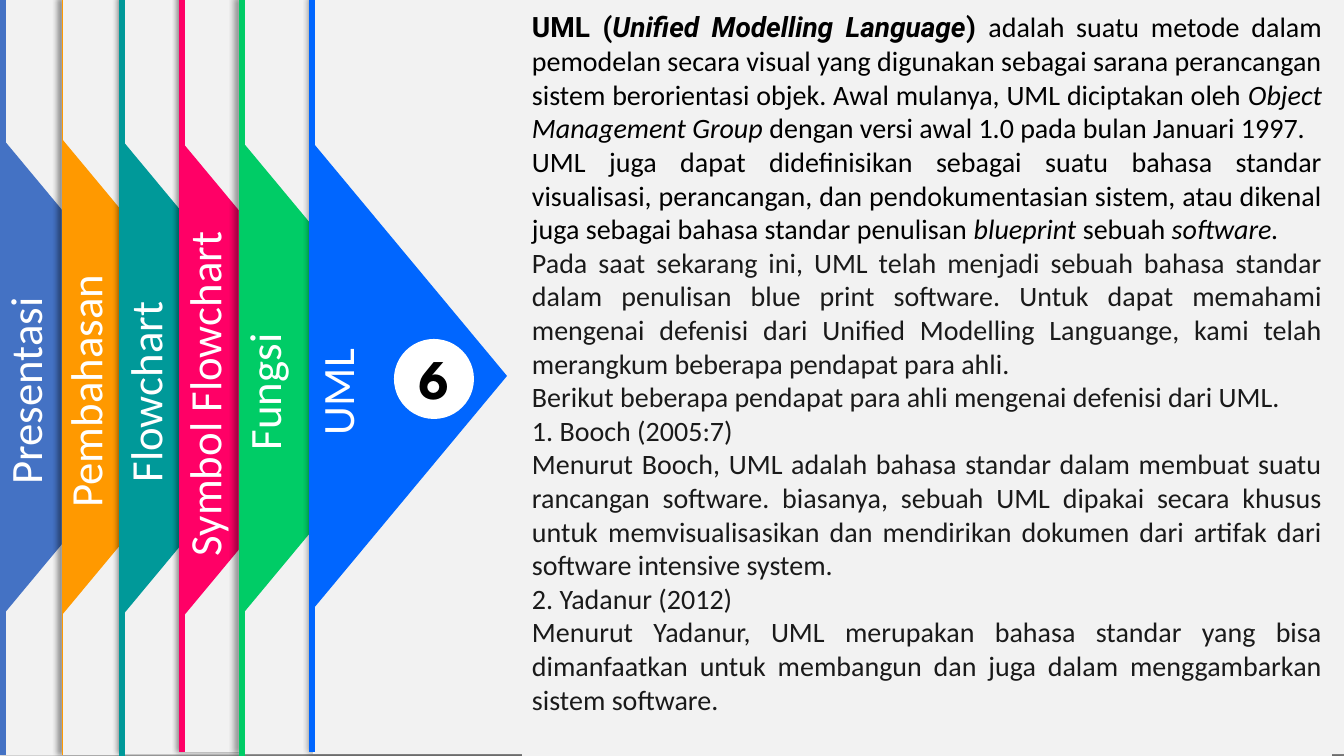
from lxml import etree
from pptx import Presentation
from pptx.dml.color import RGBColor
from pptx.enum.shapes import MSO_CONNECTOR, MSO_SHAPE
from pptx.enum.text import MSO_ANCHOR, MSO_AUTO_SIZE, PP_ALIGN
from pptx.oxml.ns import qn
from pptx.util import Emu, Pt

RECTANGLE, TRIANGLE, OVAL = MSO_SHAPE.RECTANGLE, MSO_SHAPE.ISOSCELES_TRIANGLE, MSO_SHAPE.OVAL
STRAIGHT = MSO_CONNECTOR.STRAIGHT
CENTER, JUSTIFY = PP_ALIGN.CENTER, PP_ALIGN.JUSTIFY
TOP = MSO_ANCHOR.TOP
GROW = MSO_AUTO_SIZE.SHAPE_TO_FIT_TEXT

PAGE_W, PAGE_H = 1344, 756
ARROW_BASE, ARROW_DEPTH = 476, 198
LABEL_H = 65

WHITE = RGBColor(0xFF, 0xFF, 0xFF)
BLACK = RGBColor(0, 0, 0)
INK = RGBColor(0x1A, 0x1A, 0x1A)
PAPER = RGBColor(0xF2, 0xF2, 0xF2)
STEEL = RGBColor(0x44, 0x72, 0xC4)
ORANGE = RGBColor(0xFF, 0x99, 0x00)
TEAL = RGBColor(0x00, 0x99, 0x99)
PINK = RGBColor(0xFF, 0x00, 0x66)
GREEN = RGBColor(0x00, 0xCC, 0x66)
BLUE = RGBColor(0x00, 0x66, 0xFF)

# label, colour, panel left, panel top, spine x, spine top, spine weight,
# arrow left, arrow middle, label middle x, label middle y, label width
TABS = [
    ("Presentasi", STEEL, 3, -1, 3, -1, 4.5, 3, 377, 25, 391, 210),
    ("Pembahasan", ORANGE, 62, -1, 62, -1, 0.5, 62, 377, 85, 391, 256),
    ("Flowchart", TEAL, 122, -2, 122, 0, 4.5, 122, 378, 145, 392, 203),
    ("Symbol Flowchart", PINK, 181, -4, 182, -4, 4.5, 182, 380, 204, 394, 348),
    ("Fungsi", GREEN, 239, -2, 242, 0, 4.5, 241, 378, 264, 392, 138),
    ("UML", BLUE, 313, -2, 312, -4, 4.5, 309, 376, 337, 392, 107),
]

# Each paragraph: colour and its runs as (text, font, bold, italic)
ARTICLE = [
    (BLACK, [
        ("UML (", "Roboto", True, False),
        ("Unified Modelling Language", "Roboto", True, True),
        (") ", "Roboto", True, False),
        ("adalah suatu metode dalam pemodelan secara visual yang digunakan sebagai "
         "sarana perancangan sistem berorientasi objek. Awal mulanya, UML diciptakan "
         "oleh ", "Calibri", False, False),
        ("Object Management Group ", "Calibri", False, True),
        ("dengan versi awal 1.0 pada bulan Januari 1997.", "Calibri", False, False),
    ]),
    (BLACK, [
        ("UML juga dapat didefinisikan sebagai suatu bahasa standar visualisasi, "
         "perancangan, dan pendokumentasian sistem, atau dikenal juga sebagai bahasa "
         "standar penulisan ", "Calibri", False, False),
        ("blueprint ", "Calibri", False, True),
        ("sebuah ", "Calibri", False, False),
        ("software.", "Calibri", False, True),
    ]),
] + [(INK, [(text, "Calibri", False, False)]) for text in (
    "Pada saat sekarang ini, UML telah menjadi sebuah bahasa standar dalam penulisan "
    "blue print software. Untuk dapat memahami mengenai defenisi dari Unified Modelling "
    "Languange, kami telah merangkum beberapa pendapat para ahli.",
    "Berikut beberapa pendapat para ahli mengenai defenisi dari UML.",
    "1. Booch (2005:7)",
    "Menurut Booch, UML adalah bahasa standar dalam membuat suatu rancangan software. "
    "biasanya, sebuah UML dipakai secara khusus untuk memvisualisasikan dan mendirikan "
    "dokumen dari artifak dari software intensive system.",
    "2. Yadanur (2012)",
    "Menurut Yadanur, UML merupakan bahasa standar yang bisa dimanfaatkan untuk "
    "membangun dan juga dalam menggambarkan sistem software.",
)]


def px(count):
    return Emu(round(count * 914400 / 100.8))


def add_block(parent, preset, left, top, width, height, fill):
    block = parent.shapes.add_shape(preset, px(left), px(top), px(width), px(height))
    block.shadow.inherit = False
    block.fill.solid()
    block.fill.fore_color.rgb = fill
    block.line.fill.background()
    return block


def add_left_shadow(block):
    effects = block.element.spPr.find(qn("a:effectLst"))
    shadow = etree.SubElement(effects, qn("a:outerShdw"), blurRad=str(Pt(4)),
                              dist=str(Pt(3)), dir="10800000", algn="r", rotWithShape="0")
    colour = etree.SubElement(shadow, qn("a:srgbClr"), val=str(BLACK))
    etree.SubElement(colour, qn("a:alpha"), val="40000")


def add_spine(parent, x, top, colour, weight):
    spine = parent.shapes.add_connector(STRAIGHT, px(x), px(top), px(x), px(top + PAGE_H))
    spine.line.color.rgb = colour
    spine.line.width = Pt(weight)
    etree.SubElement(spine.element.spPr, qn("a:effectLst"))


def add_span(para, text, font, size, colour, bold=False, italic=False):
    span = para.add_run()
    span.text = text
    span.font.name = font
    span.font.size = Pt(size)
    span.font.color.rgb = colour
    span.font.bold = bold
    span.font.italic = italic


def add_label(parent, text, middle_x, middle_y, width, height, font, size, colour,
              bold=False, turn=0):
    box = parent.shapes.add_textbox(px(middle_x - width / 2), px(middle_y - height / 2),
                                    px(width), px(height))
    box.rotation = turn
    box.text_frame.word_wrap = False
    box.text_frame.auto_size = GROW
    para = box.text_frame.paragraphs[0]
    para.alignment = CENTER
    add_span(para, text, font, size, colour, bold)


def add_tab(page, tab):
    (label, colour, panel_x, panel_y, spine_x, spine_y, weight,
     arrow_x, arrow_y, label_x, label_y, label_w) = tab
    group = page.shapes.add_group_shape()
    add_left_shadow(add_block(group, RECTANGLE, panel_x, panel_y, PAGE_W, PAGE_H, PAPER))
    arrow = add_block(group, TRIANGLE, arrow_x + (ARROW_DEPTH - ARROW_BASE) / 2,
                      arrow_y - ARROW_DEPTH / 2, ARROW_BASE, ARROW_DEPTH, colour)
    arrow.rotation = 90
    add_spine(group, spine_x, spine_y, colour, weight)
    add_label(group, label, label_x, label_y, label_w, LABEL_H, "Calibri", 32, WHITE, turn=270)
    return group


def add_article(page):
    box = add_block(page, RECTANGLE, 522, 5, 810, PAGE_H, PAPER)
    frame = box.text_frame
    frame.word_wrap = True
    frame.vertical_anchor = TOP
    for index, (colour, spans) in enumerate(ARTICLE):
        para = frame.add_paragraph() if index else frame.paragraphs[0]
        para.alignment = JUSTIFY
        for text, font, bold, italic in spans:
            add_span(para, text, font, 20, colour, bold, italic)


def main():
    deck = Presentation()
    deck.slide_width, deck.slide_height = px(PAGE_W), px(PAGE_H)
    page = deck.slides.add_slide(deck.slide_layouts[6])

    # Overlapping tabs, left to right
    for tab in TABS:
        group = add_tab(page, tab)

    # Number badge on the front tab
    add_block(group, OVAL, 394, 339, 80, 80, WHITE)
    add_label(group, "6", 434, 378, 51, 78, "League Spartan", 40, BLACK, bold=True)

    # Article text
    add_article(page)
    deck.save("out.pptx")


if __name__ == "__main__":
    main()
